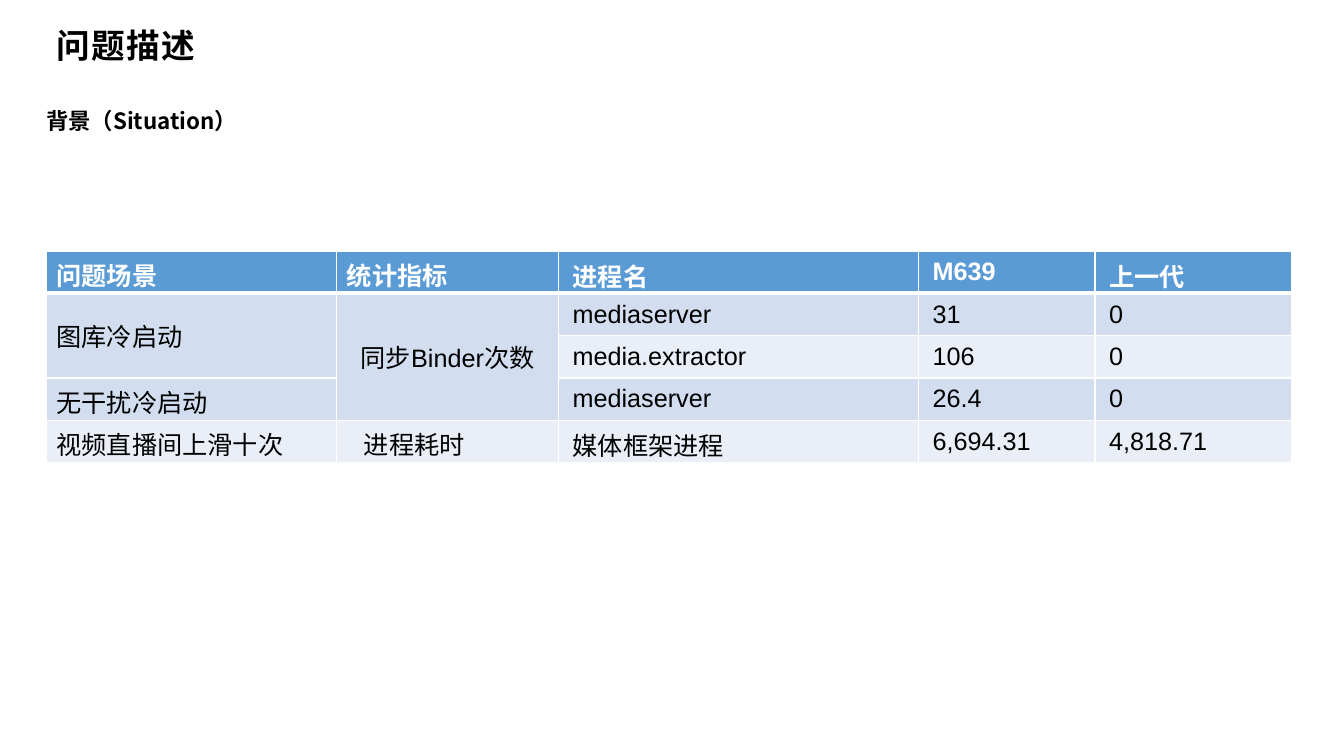
from dataclasses import dataclass

from lxml.etree import SubElement
from pptx import Presentation
from pptx.dml.color import RGBColor as Rgb
from pptx.enum.text import MSO_ANCHOR as Anchor, MSO_AUTO_SIZE as Fit, PP_ALIGN as Align
from pptx.oxml import parse_xml
from pptx.oxml.ns import nsdecls, qn
from pptx.table import _Cell as Cell
from pptx.text.text import Font, TextFrame
from pptx.util import Inches, Pt

COLORS = {"head": "5B9BD5", "dark": "D2DEEF", "light": "EAEFF7",
          "white": "FFFFFF", "black": "000000"}
ARIAL, NOTO = "Arial", "Noto Sans CJK SC"


@dataclass
class Style:
    size: int
    color: str
    bold: bool = False
    face: str = NOTO


@dataclass
class Row:
    fill: str
    texts: tuple[str, ...]


TITLE = Style(24, "black", True)
TOPIC = Style(16, "black", True)
HEAD = Style(18, "white", True, ARIAL)
BODY = Style(18, "black", False, ARIAL)

WIDTHS = (2.88, 2.2, 3.57, 1.75, 1.95)
HEIGHT = 0.42
ROWS = (
    Row("head", ("问题场景", "统计指标", "进程名", "M639", "上一代")),
    Row("dark", ("图库冷启动", "同步Binder次数", "mediaserver", "31", "0")),
    Row("light", ("", "", "media.extractor", "106", "0")),
    Row("dark", ("无干扰冷启动", "", "mediaserver", "26.4", "0")),
    Row("light", ("视频直播间上滑十次", "进程耗时", "媒体框架进程", "6,694.31", "4,818.71")),
)


def write(frame: TextFrame, text: str, style: Style) -> Font:
    """Fill a frame with one styled paragraph and return its font."""
    frame.text = text
    font = frame.paragraphs[0].font
    font.size, font.bold, font.name = Pt(style.size), style.bold, style.face
    font.color.rgb = Rgb.from_string(COLORS[style.color])
    SubElement(font._element, qn("a:ea")).set("typeface", NOTO)
    return font


def edge(cell: Cell, row: int) -> None:
    """Draw white cell borders, with a thick rule below the header."""
    widths = {"L": 1, "R": 1, "T": 3 if row == 1 else 1, "B": 3 if row == 0 else 1}
    props = cell._tc.get_or_add_tcPr()
    for spot, (side, width) in enumerate(widths.items()):
        props.insert(spot, parse_xml(
            f'<a:ln{side} {nsdecls("a")} w="{Pt(width)}"><a:solidFill>'
            f'<a:srgbClr val="{COLORS["white"]}"/></a:solidFill></a:ln{side}>'))


def dress(cell: Cell, row: int, col: int) -> None:
    """Set fill, borders, text and margins of one cell."""
    cell.fill.solid()
    cell.fill.fore_color.rgb = Rgb.from_string(COLORS[ROWS[row].fill])
    edge(cell, row)
    text = ROWS[row].texts[col]
    if text:
        write(cell.text_frame, text, BODY if row else HEAD)
    if row or col > 1:
        cell.vertical_anchor = Anchor.MIDDLE
    if col > 1:
        cell.margin_left = cell.margin_right = Inches(0.14)
        cell.margin_top = cell.margin_bottom = Inches(0.06)


def main() -> None:
    deck = Presentation()
    deck.slide_width, deck.slide_height = Inches(13.33), Inches(7.5)
    slide = deck.slides.add_slide(deck.slide_layouts[5])

    # Title
    title = slide.shapes.title
    title.left, title.top = Inches(0.46), Inches(0.2)
    title.width, title.height = Inches(1.6), Inches(0.5)
    frame = title.text_frame
    write(frame, "问题描述", TITLE)._element.set("spc", "100")
    frame.paragraphs[0].alignment = Align.LEFT
    frame.vertical_anchor = Anchor.TOP
    frame.word_wrap, frame.auto_size = False, Fit.SHAPE_TO_FIT_TEXT

    # Topic line
    topic = slide.shapes.add_textbox(Inches(0.36), Inches(0.88), Inches(12.62), Inches(0.67))
    topic.text_frame.word_wrap = True
    write(topic.text_frame, "背景（Situation）", TOPIC)
    topic.text_frame.paragraphs[0].line_spacing = 1.5

    # Table of measurements
    table = slide.shapes.add_table(
        len(ROWS), len(WIDTHS), Inches(0.46), Inches(2.49),
        Inches(sum(WIDTHS)), Inches(HEIGHT * len(ROWS))).table
    for column, width in zip(table.columns, WIDTHS):
        column.width = Inches(width)
    for row in range(len(ROWS)):
        for col in range(len(WIDTHS)):
            dress(table.cell(row, col), row, col)

    # Merged cells and the two special alignments
    table.cell(1, 0).merge(table.cell(2, 0))
    table.cell(1, 1).merge(table.cell(3, 1))
    table.cell(1, 1).text_frame.paragraphs[0].alignment = Align.CENTER
    table.cell(4, 1).margin_left = Inches(0.27)

    deck.save("out.pptx")


if __name__ == "__main__":
    main()
